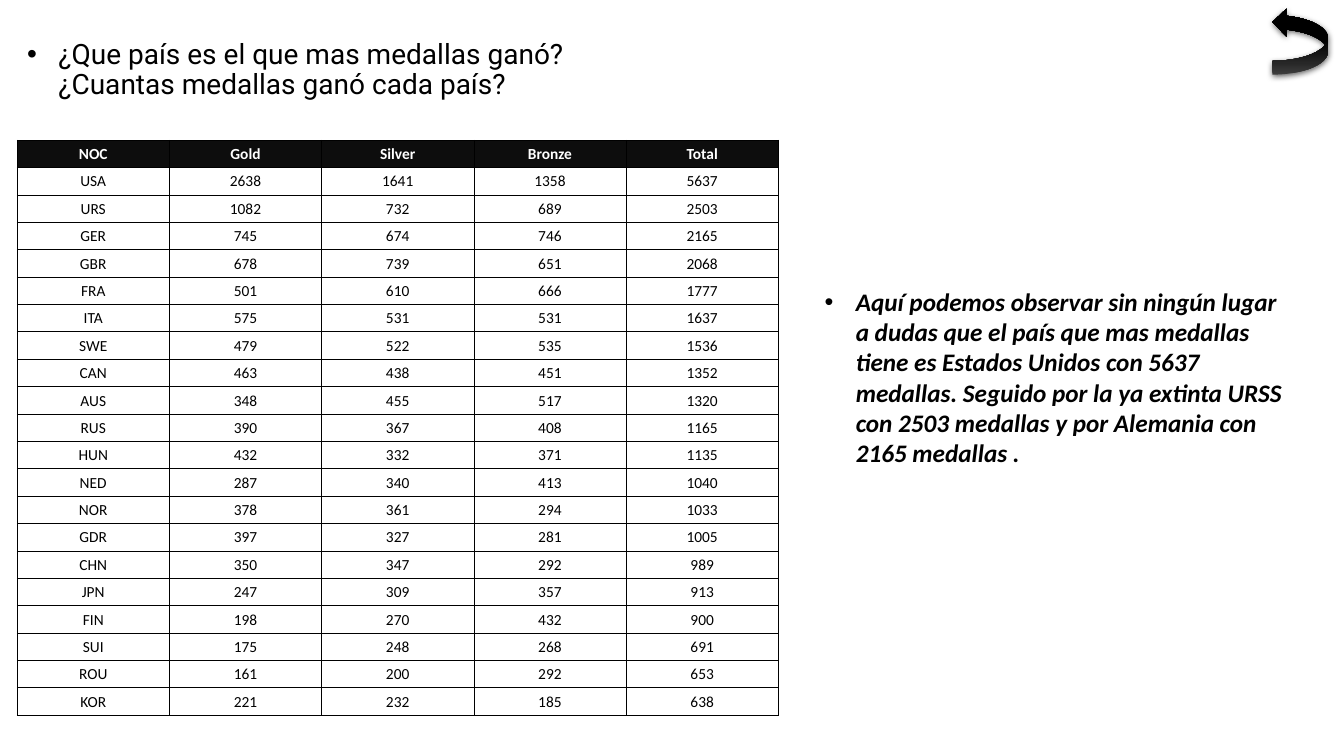
"""Build a slide with the Olympic medal table by country and its conclusion."""
from dataclasses import dataclass
from typing import NamedTuple

from lxml import etree
from pptx import Presentation
from pptx.dml.color import RGBColor
from pptx.enum.shapes import MSO_SHAPE
from pptx.enum.text import MSO_ANCHOR, PP_ALIGN
from pptx.oxml import parse_xml
from pptx.oxml.ns import qn
from pptx.slide import Slide
from pptx.table import _Cell
from pptx.text.text import Font
from pptx.util import Inches, Pt

CURVED_ARROW = MSO_SHAPE.CURVED_RIGHT_ARROW
TOP, MIDDLE = MSO_ANCHOR.TOP, MSO_ANCHOR.MIDDLE
CENTER = PP_ALIGN.CENTER
DRAWING_NAMESPACE = "http://schemas.openxmlformats.org/drawingml/2006/main"


@dataclass(frozen=True)
class Theme:
    """Colours, fonts and type sizes of the slide."""
    black: RGBColor = RGBColor(0, 0, 0)
    white: RGBColor = RGBColor(255, 255, 255)
    header: RGBColor = RGBColor(0x0D, 0x0D, 0x0D)
    gray: RGBColor = RGBColor(0x4B, 0x4B, 0x4B)
    title_font: str = "Roboto"
    body_font: str = "Calibri"
    title_size: int = 20
    body_size: int = 18
    table_size: int = 11


class Box(NamedTuple):
    """Position and size in inches."""
    left: float
    top: float
    width: float
    height: float

    def lengths(self) -> list[Inches]:
        """Return the four values as lengths."""
        return [Inches(value) for value in self]


class BulletText(NamedTuple):
    """A bulleted text block and its type."""
    text: str
    box: Box
    font: str
    size: int
    emphasis: bool
    line_spacing: float
    top_margin: float


class Country(NamedTuple):
    """Medals won by one country."""
    code: str
    gold: int
    silver: int
    bronze: int

    def cells(self) -> list[str]:
        """Return the table row, with the total last."""
        medals = (self.gold, self.silver, self.bronze)
        return [self.code, *map(str, medals), str(sum(medals))]


THEME = Theme()
TABLE_BOX = Box(0.17, 1.39, 7.55, 5.71)
ARROW_BOX = Box(12.62, 0.08, 0.55, 0.66)
HEADINGS = ["NOC", "Gold", "Silver", "Bronze", "Total"]
COUNTRIES = [
    Country("USA", 2638, 1641, 1358),
    Country("URS", 1082, 732, 689),
    Country("GER", 745, 674, 746),
    Country("GBR", 678, 739, 651),
    Country("FRA", 501, 610, 666),
    Country("ITA", 575, 531, 531),
    Country("SWE", 479, 522, 535),
    Country("CAN", 463, 438, 451),
    Country("AUS", 348, 455, 517),
    Country("RUS", 390, 367, 408),
    Country("HUN", 432, 332, 371),
    Country("NED", 287, 340, 413),
    Country("NOR", 378, 361, 294),
    Country("GDR", 397, 327, 281),
    Country("CHN", 350, 347, 292),
    Country("JPN", 247, 309, 357),
    Country("FIN", 198, 270, 432),
    Country("SUI", 175, 248, 268),
    Country("ROU", 161, 200, 292),
    Country("KOR", 221, 232, 185),
]
TEXTS = [
    BulletText(
        "¿Que país es el que mas medallas ganó?\v¿Cuantas medallas ganó cada país?",
        Box(0.17, 0.2, 12.3, 0.99), THEME.title_font, THEME.title_size, False, 0.9, 0.2),
    BulletText(
        "Aquí podemos observar sin ningún lugar a dudas que el país que mas medallas "
        "tiene es Estados Unidos con 5637 medallas. Seguido por la ya extinta URSS con "
        "2503 medallas y por Alemania con 2165 medallas .",
        Box(8.08, 2.79, 4.8, 1.92), THEME.body_font, THEME.body_size, True, 1.0, 0.05),
]


def style_font(font: Font, name: str, size: int, color: RGBColor, bold: bool) -> None:
    """Set the typeface, size, colour and weight."""
    font.name, font.size, font.bold = name, Pt(size), bold
    font.color.rgb = color


def add_bullet_text(slide: Slide, item: BulletText) -> None:
    """Add a text box with one bulleted paragraph."""
    text_frame = slide.shapes.add_textbox(*item.box.lengths()).text_frame
    text_frame.word_wrap = True
    text_frame.vertical_anchor = TOP
    text_frame.margin_top = Inches(item.top_margin)
    paragraph = text_frame.paragraphs[0]
    paragraph.text = item.text
    paragraph.line_spacing = item.line_spacing
    for run in paragraph.runs:
        style_font(run.font, item.font, item.size, THEME.black, item.emphasis)
        run.font.italic = item.emphasis
    properties = paragraph._p.get_or_add_pPr()
    properties.set("marL", str(Inches(0.31)))
    properties.set("indent", str(Inches(-0.31)))
    etree.SubElement(properties, qn("a:buFont"), typeface="Arial")
    etree.SubElement(properties, qn("a:buChar"), char="•")


def add_borders(cell: _Cell) -> None:
    """Draw a thin line on every side of the cell."""
    properties = cell._tc.get_or_add_tcPr()
    for position, side in enumerate(("lnL", "lnR", "lnT", "lnB")):
        properties.insert(position, parse_xml(
            f'<a:{side} xmlns:a="{DRAWING_NAMESPACE}" w="{Pt(0.5)}"><a:solidFill>'
            f'<a:srgbClr val="{THEME.black}"/></a:solidFill></a:{side}>'))


def fill_cell(cell: _Cell, text: str, is_header: bool) -> None:
    """Write and format one table cell."""
    cell.text_frame.text = text
    cell.vertical_anchor = MIDDLE
    cell.margin_left = cell.margin_right = cell.margin_top = Inches(0.01)
    cell.margin_bottom = 0
    paragraph = cell.text_frame.paragraphs[0]
    paragraph.alignment = CENTER
    color = THEME.white if is_header else THEME.black
    style_font(paragraph.runs[0].font, THEME.body_font, THEME.table_size, color, is_header)
    if is_header:
        cell.fill.solid()
        cell.fill.fore_color.rgb = THEME.header
    else:
        cell.fill.background()
    add_borders(cell)


def add_medal_table(slide: Slide) -> None:
    """Add the table of medals by country."""
    rows = [HEADINGS, *(country.cells() for country in COUNTRIES)]
    table = slide.shapes.add_table(len(rows), len(HEADINGS), *TABLE_BOX.lengths()).table
    table.horz_banding = False
    for row_index, row in enumerate(rows):
        for column_index, text in enumerate(row):
            fill_cell(table.cell(row_index, column_index), text, row_index == 0)


def add_return_arrow(slide: Slide) -> None:
    """Add the curved arrow with its gradient and soft shadow."""
    shape = slide.shapes.add_shape(CURVED_ARROW, *ARROW_BOX.lengths())
    shape.rotation = 180
    shape.line.fill.background()
    shape.fill.gradient()
    shape.fill.gradient_angle = 270
    stops = ((0, THEME.gray), (0.5, THEME.black))
    for stop, (position, color) in zip(shape.fill.gradient_stops, stops):
        stop.position, stop.color.rgb = position, color
    shape.shadow.inherit = False
    shape._element.spPr.find(qn("a:effectLst")).append(parse_xml(
        f'<a:outerShdw xmlns:a="{DRAWING_NAMESPACE}" blurRad="{Pt(4.5)}" dist="{Pt(1.5)}" '
        f'dir="5400000" rotWithShape="0"><a:srgbClr val="{THEME.black}">'
        '<a:alpha val="63000"/></a:srgbClr></a:outerShdw>'))


def main() -> None:
    """Build and save the presentation."""
    presentation = Presentation()
    presentation.slide_width, presentation.slide_height = Inches(13.33), Inches(7.5)
    slide = presentation.slides.add_slide(presentation.slide_layouts[6])
    for item in TEXTS:
        add_bullet_text(slide, item)
    add_medal_table(slide)
    add_return_arrow(slide)
    presentation.save("out.pptx")


if __name__ == "__main__":
    main()
